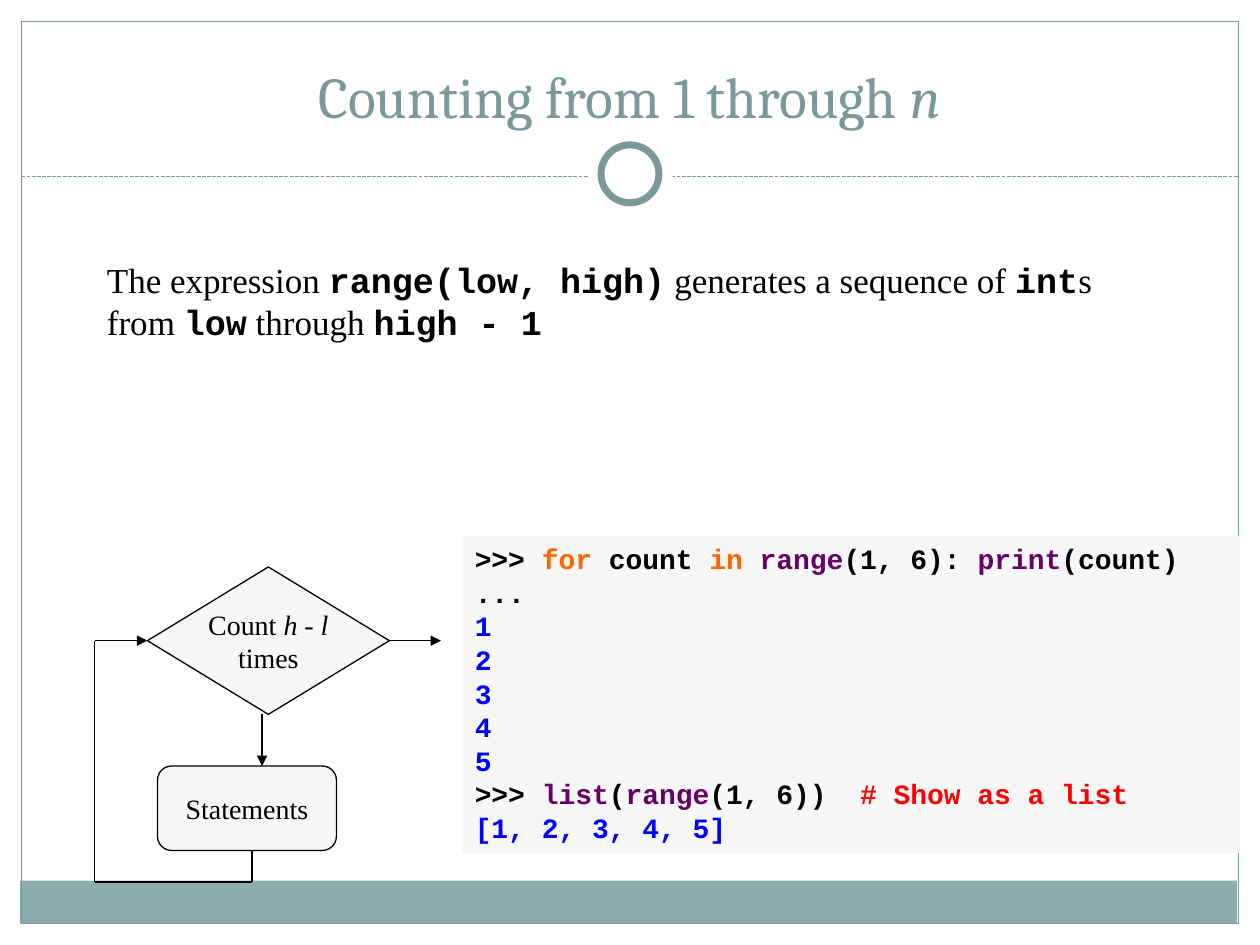
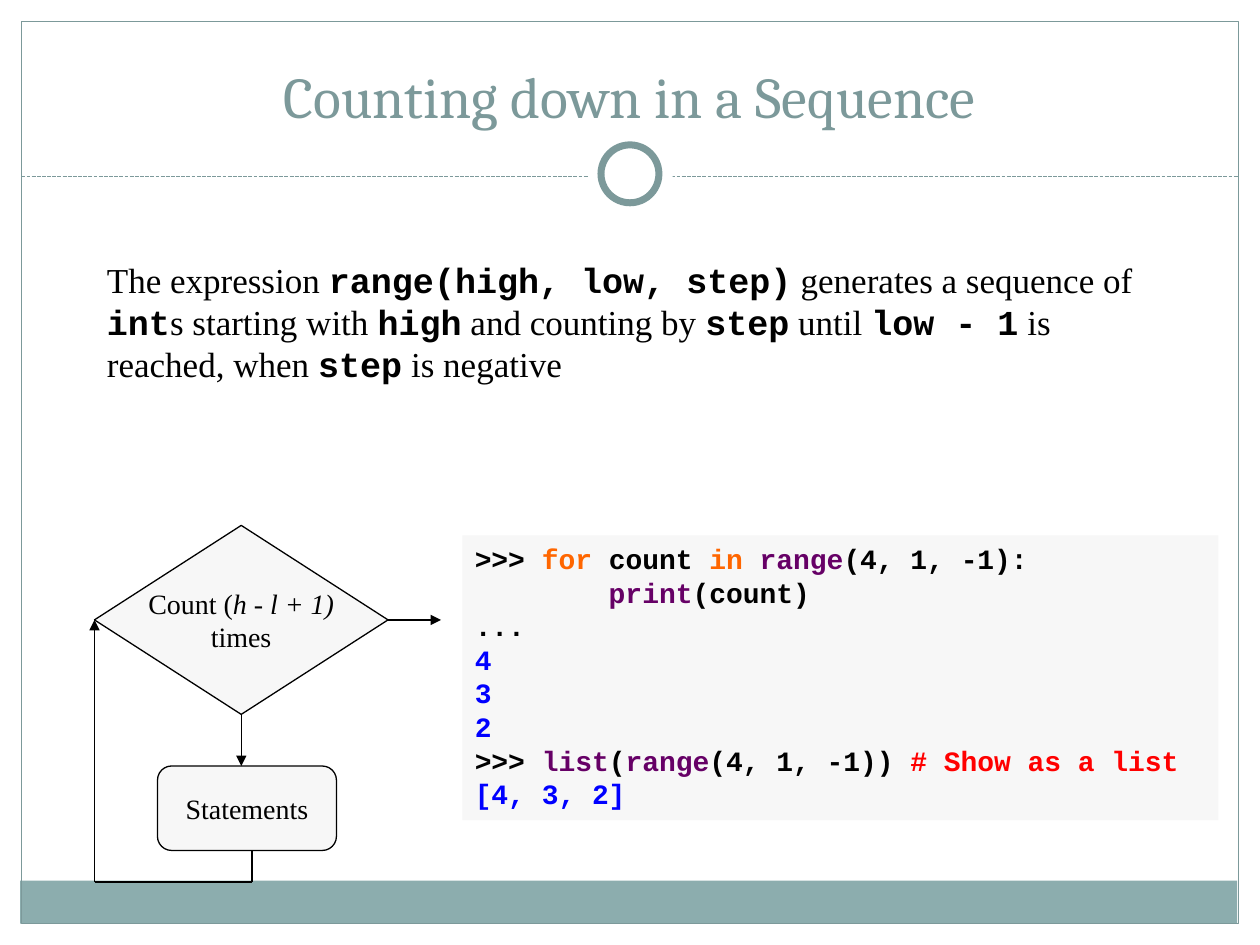
from lxml import etree
from pptx import Presentation
from pptx.dml.color import RGBColor
from pptx.enum.dml import MSO_LINE
from pptx.enum.shapes import MSO_CONNECTOR, MSO_SHAPE
from pptx.enum.text import MSO_ANCHOR, MSO_AUTO_SIZE, PP_ALIGN
from pptx.oxml.ns import qn
from pptx.util import Inches, Pt

COLOURS = {
    "white": "FFFFFF", "black": "000000", "teal": "7C999A", "band": "8CADAE",
    "panel": "F7F7F7", "orange": "FF6600", "purple": "660066",
    "blue": "0000FF", "red": "FF0000",
}
COLOURS = {name: RGBColor.from_string(value) for name, value in COLOURS.items()}

# style: font, colour, bold, italic
STYLES = {
    "title": ("Cambria", "teal", False, False),
    "title italic": ("Cambria", "teal", False, True),
    "body": ("Times New Roman", "black", False, False),
    "italic": ("Times New Roman", "black", False, True),
    "code": ("Courier New", "black", True, False),
    "keyword": ("Courier New", "orange", True, False),
    "builtin": ("Courier New", "purple", True, False),
    "output": ("Courier New", "blue", True, False),
    "comment": ("Courier New", "red", True, False),
}

LOOP_LEFT, LOOP_BOTTOM, EXIT_RIGHT = 0.75, 7, 3.5
STATEMENTS_TOP, STATEMENTS_BOTTOM = 6.08, 6.75

SLIDES = [
    {
        "title": [("Counting from 1 through ", "title"), ("n", "title italic")],
        "body": [
            ("The expression ", "body"), ("range(low, high)", "code"),
            (" generates a sequence of ", "body"), ("int", "code"),
            ("s from ", "body"), ("low", "code"),
            (" through ", "body"), ("high - 1", "code"),
        ],
        "body height": 0.77,
        "diamond": (1.17, 4.5, 1.92, 1.17),
        "count": [("Count ", "body"), ("h - l", "italic")],
        "down x": 2.08,
        "code size": (6.17, 2.52),
        "code": [
            [(">>> ", "code"), ("for", "keyword"), (" count ", "code"), ("in ", "keyword"),
             ("range", "builtin"), ("(1, 6): ", "code"), ("print", "builtin"),
             ("(count)", "code")],
            [("...", "code")],
            *[[(number, "output")] for number in "12345"],
            [(">>> ", "code"), ("list", "builtin"), ("(", "code"), ("range", "builtin"),
             ("(1, 6))  ", "code"), ("# Show as a list", "comment")],
            [("[1, 2, 3, 4, 5]", "output")],
        ],
    },
    {
        "title": [("Counting down in a Sequence", "title")],
        "body": [
            ("The expression ", "body"), ("range(high, low, step)", "code"),
            (" generates a sequence of ", "body"), ("int", "code"),
            ("s starting with ", "body"), ("high", "code"),
            (" and counting by ", "body"), ("step", "code"),
            (" until ", "body"), ("low - 1", "code"),
            (" is reached, when ", "body"), ("step", "code"),
            (" is negative", "body"),
        ],
        "body height": 1.1,
        "diamond": (0.75, 4.17, 2.33, 1.5),
        "count": [("Count (", "body"), ("h - l + 1)", "italic")],
        "down x": None,  # straight below the diamond's tip
        "code size": (6, 2.26),
        "code": [
            [(">>> ", "code"), ("for", "keyword"), (" count ", "code"), ("in ", "keyword"),
             ("range", "builtin"), ("(4, 1, -1):", "code")],
            [("        print", "builtin"), ("(count)", "code")],
            [("...", "code")],
            *[[(number, "output")] for number in "432"],
            [(">>> ", "code"), ("list", "builtin"), ("(", "code"), ("range", "builtin"),
             ("(4, 1, -1)) ", "code"), ("# Show as a list", "comment")],
            [("[4, 3, 2]", "output")],
        ],
    },
]


def write_text(frame, lines, size, align=PP_ALIGN.LEFT):
    """Fill a text frame with lines, each a list of (text, style) spans."""
    for index, spans in enumerate(lines):
        para = frame.paragraphs[0] if index == 0 else frame.add_paragraph()
        para.alignment = align
        for text, style in spans:
            span = para.add_run()
            span.text = text
            font = span.font
            font.name, colour, font.bold, font.italic = STYLES[style]
            font.size = Pt(size)
            font.color.rgb = COLOURS[colour]


def add_line(page, start, end, colour="black", arrow=False):
    points = [Inches(value) for value in (*start, *end)]
    line = page.shapes.add_connector(MSO_CONNECTOR.STRAIGHT, *points)
    line.line.color.rgb = COLOURS[colour]
    line.line.width = Pt(0.75)
    if arrow:
        etree.SubElement(line.line._get_or_add_ln(), qn("a:tailEnd"), type="triangle")
    etree.SubElement(line._element.spPr, qn("a:effectLst"))
    return line


deck = Presentation()
deck.slide_width, deck.slide_height = Inches(10), Inches(7.5)

for content in SLIDES:
    page = deck.slides.add_slide(deck.slide_layouts[5])

    # Bottom band, frame and title divider with its ring
    for kind, area, fill, outline in [
        (MSO_SHAPE.RECTANGLE, (0.16, 6.99, 9.66, 0.34), "band", 0),
        (MSO_SHAPE.RECTANGLE, (0.17, 0.17, 9.66, 7.16), None, 0.75),
        (MSO_SHAPE.OVAL, (4.67, 1.05, 0.67, 0.67), "white", 0),
        (MSO_SHAPE.OVAL, (4.77, 1.15, 0.46, 0.46), "white", 4),
    ]:
        if area[1] == 1.05:
            divider = add_line(page, (0.17, 1.4), (9.83, 1.4), "teal")
            divider.line.dash_style = MSO_LINE.SQUARE_DOT
        shape = page.shapes.add_shape(kind, *[Inches(value) for value in area])
        shape.shadow.inherit = False
        if fill:
            shape.fill.solid()
            shape.fill.fore_color.rgb = COLOURS[fill]
        else:
            shape.fill.background()
        if outline:
            shape.line.color.rgb = COLOURS["teal"]
            shape.line.width = Pt(outline)
        else:
            shape.line.fill.background()

    title = page.shapes.title
    title.left, title.top = Inches(0.33), Inches(0.25)
    title.width, title.height = Inches(9.33), Inches(0.83)
    title.text_frame.vertical_anchor = MSO_ANCHOR.BOTTOM
    title.text_frame.auto_size = MSO_AUTO_SIZE.NONE
    write_text(title.text_frame, [content["title"]], 33, PP_ALIGN.CENTER)

    # Flowchart steps
    steps = []
    for kind, area, lines in [
        (MSO_SHAPE.ROUNDED_RECTANGLE, (1.25, STATEMENTS_TOP, 1.42, 0.67),
         [[("Statements", "body")]]),
        (MSO_SHAPE.DIAMOND, content["diamond"],
         [content["count"], [("times", "body")]]),
    ]:
        step = page.shapes.add_shape(kind, *[Inches(value) for value in area])
        step.shadow.inherit = False
        step.fill.solid()
        step.fill.fore_color.rgb = COLOURS["panel"]
        step.line.color.rgb = COLOURS["black"]
        step.line.width = Pt(0.75)
        step.text_frame.word_wrap = False
        step.text_frame.vertical_anchor = MSO_ANCHOR.MIDDLE
        write_text(step.text_frame, lines, 16, PP_ALIGN.CENTER)
        steps.append(step)
    diamond = steps[1]

    # Flowchart arrows
    left, top, width, height = content["diamond"]
    middle = top + height / 2
    down_x = content["down x"] or left + width / 2
    down = add_line(page, (down_x, top + height), (down_x, STATEMENTS_TOP), arrow=True)
    if content["down x"] is None:
        down.begin_connect(diamond, 2)
    leave = add_line(page, (left + width, middle), (EXIT_RIGHT, middle), arrow=True)
    leave.begin_connect(diamond, 3)

    route = [(2, STATEMENTS_BOTTOM), (2, LOOP_BOTTOM),
             (LOOP_LEFT, LOOP_BOTTOM), (LOOP_LEFT, middle)]
    if left > LOOP_LEFT:
        route.append((left, middle))
    for start, end in zip(route, route[1:]):
        back = add_line(page, start, end, arrow=end == route[-1])
    back.end_connect(diamond, 1)

    # Code panel and explanation
    for area, lines, size, fill in [
        ((3.67, 4.25, *content["code size"]), content["code"], 16, "panel"),
        ((0.75, 2, 8.58, content["body height"]), [content["body"]], 20, None),
    ]:
        box = page.shapes.add_textbox(*[Inches(value) for value in area])
        if fill:
            box.fill.solid()
            box.fill.fore_color.rgb = COLOURS[fill]
        box.text_frame.word_wrap = True
        box.text_frame.auto_size = MSO_AUTO_SIZE.SHAPE_TO_FIT_TEXT
        write_text(box.text_frame, lines, size)

deck.save("out.pptx")
